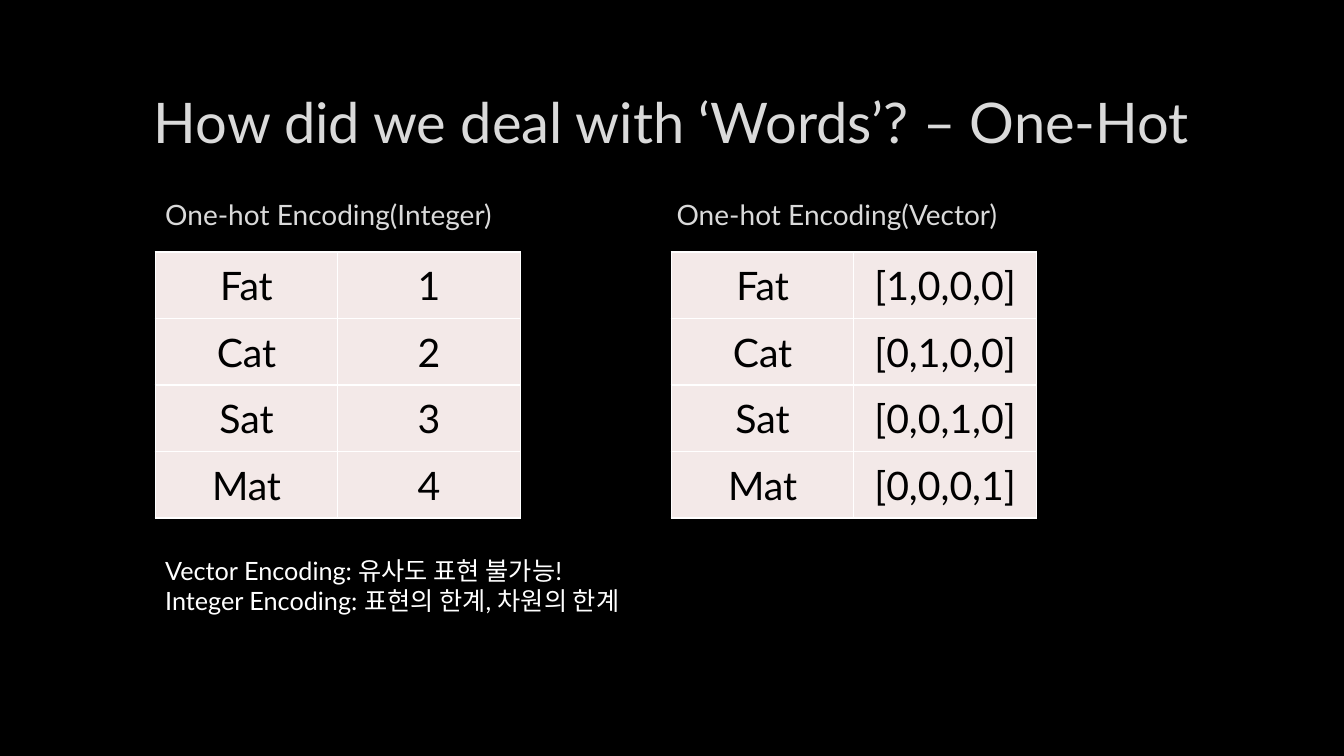
from lxml import etree
from pptx import Presentation, util as u
from pptx.dml.color import RGBColor
from pptx.enum import text
from pptx.oxml.ns import qn

SLIDE_WIDTH, SLIDE_HEIGHT = u.Inches(13.33), u.Inches(7.5)
FONT = "Lato"
BLACK, WHITE, GREY, PINK = "000000", "FFFFFF", "DADADA", "F3E9E8"
WORDS = ["Fat", "Cat", "Sat", "Mat"]
LEFT_EDGE = 11.55
RIGHT_EDGE = 49.95
CELL_FORMAT = {
    "vertical_anchor": text.MSO_ANCHOR.MIDDLE,
    "margin_left": u.Inches(0.01),
    "margin_right": u.Inches(0.01),
    "margin_top": u.Inches(0.01),
    "margin_bottom": 0,
}


def area(left, top, width, height):
    """Turn percentages of the slide's size into lengths."""
    return (int(SLIDE_WIDTH * left / 100), int(SLIDE_HEIGHT * top / 100),
            int(SLIDE_WIDTH * width / 100), int(SLIDE_HEIGHT * height / 100))


def colour(target, hex_value):
    target.rgb = RGBColor.from_string(hex_value)


def apply_format(target, values):
    for attribute, value in values.items():
        setattr(target, attribute, value)


def write(frame, lines, size, hex_value, align=text.PP_ALIGN.LEFT):
    for index, line in enumerate(lines):
        paragraph = frame.paragraphs[0] if index == 0 else frame.add_paragraph()
        paragraph.alignment = align
        run = paragraph.add_run()
        run.text = line
        apply_format(run.font, {"name": FONT, "size": u.Pt(size)})
        colour(run.font.color, hex_value)


def add_title(slide, title):
    heading = slide.shapes.title
    places = zip(("left", "top", "width", "height"), area(7.5, 8.93, 84.92, 14.13))
    apply_format(heading, dict(places))
    apply_format(heading.text_frame, {
        "word_wrap": True,
        "auto_size": text.MSO_AUTO_SIZE.NONE,
        "vertical_anchor": text.MSO_ANCHOR.MIDDLE,
    })
    write(heading.text_frame, [title], 40, GREY, text.PP_ALIGN.CENTER)


def add_text(slide, place, lines, size, hex_value, anchor=text.MSO_ANCHOR.TOP):
    frame = slide.shapes.add_textbox(*area(*place)).text_frame
    apply_format(frame, {"word_wrap": True, "vertical_anchor": anchor})
    write(frame, lines, size, hex_value)


def add_borders(cell):
    properties = cell._tc.get_or_add_tcPr()
    for position, side in enumerate(("lnL", "lnR", "lnT", "lnB")):
        line = etree.Element(qn(f"a:{side}"), w=str(u.Pt(1)))
        fill = etree.SubElement(line, qn("a:solidFill"))
        etree.SubElement(fill, qn("a:srgbClr"), val=WHITE)
        properties.insert(position, line)


def add_encoding(slide, left, heading_left, heading, codes):
    """Add a heading and the table that gives each word its code."""
    add_text(slide, (heading_left, 25.07, 30, 6.67), [heading], 20, GREY,
             text.MSO_ANCHOR.MIDDLE)
    place = area(left, 33.33, 27.16, 35.2)
    table = slide.shapes.add_table(len(WORDS), 2, *place).table
    apply_format(table, {"first_row": False, "horz_banding": False})
    for row, entries in enumerate(zip(WORDS, codes)):
        for column, entry in enumerate(entries):
            cell = table.cell(row, column)
            apply_format(cell, CELL_FORMAT)
            cell.fill.solid()
            colour(cell.fill.fore_color, PINK)
            add_borders(cell)
            write(cell.text_frame, [entry], 28, BLACK, text.PP_ALIGN.CENTER)


def main():
    deck = Presentation()
    apply_format(deck, {"slide_width": SLIDE_WIDTH, "slide_height": SLIDE_HEIGHT})
    slide = deck.slides.add_slide(deck.slide_layouts[5])
    slide.background.fill.solid()
    colour(slide.background.fill.fore_color, BLACK)

    add_title(slide, "How did we deal with ‘Words’? – One-Hot")
    positions = range(len(WORDS))
    integers = [str(position + 1) for position in positions]
    vectors = ["[" + ",".join(str(int(column == row)) for column in positions) + "]"
               for row in positions]
    add_encoding(slide, LEFT_EDGE, LEFT_EDGE, "One-hot Encoding(Integer)", integers)
    add_encoding(slide, RIGHT_EDGE, RIGHT_EDGE - 0.35, "One-hot Encoding(Vector)", vectors)
    add_text(slide, (LEFT_EDGE, 72.8, 65.57, 9.47),
             ["Vector Encoding: 유사도 표현 불가능!",
              "Integer Encoding: 표현의 한계, 차원의 한계"], 18, WHITE)
    deck.save("out.pptx")


if __name__ == "__main__":
    main()
